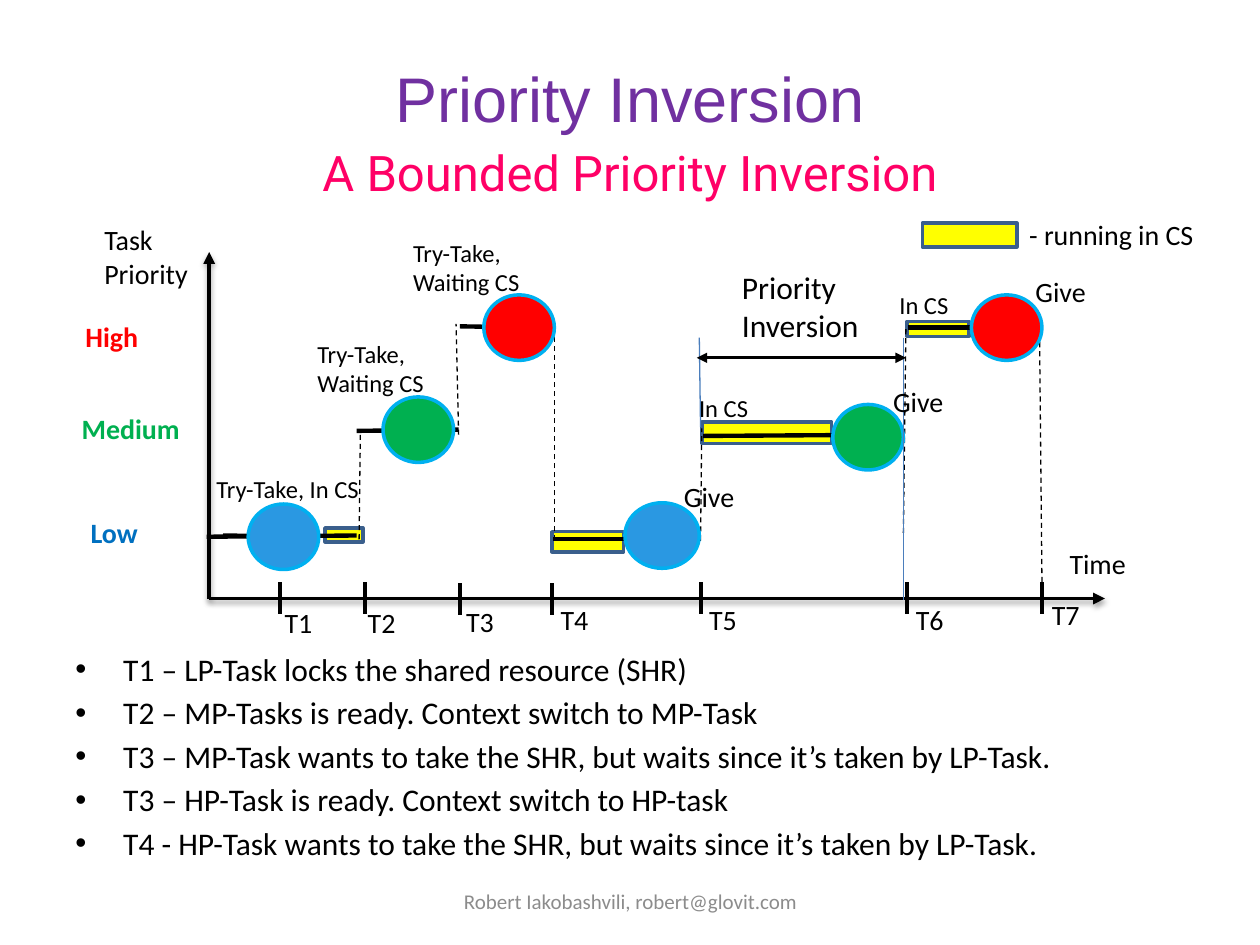
from dataclasses import dataclass
from typing import NamedTuple

from lxml.etree import SubElement
from pptx import Presentation
from pptx.dml.color import RGBColor
from pptx.enum.dml import MSO_LINE_DASH_STYLE as Dash
from pptx.enum.shapes import MSO_CONNECTOR_TYPE as Connector, MSO_SHAPE as Shape
from pptx.enum.text import MSO_ANCHOR as Anchor, PP_ALIGN as Align
from pptx.oxml.ns import qn
from pptx.util import Inches, Pt


@dataclass(frozen=True)
class Theme:
    body_font: str = "Calibri"
    title_font: str = "Arial"
    subtitle_font: str = "Roboto"
    title_size: float = 36
    subtitle_size: float = 28
    text_size: float = 18
    label_size: float = 16
    note_size: float = 14
    footer_size: float = 12
    black: str = "000000"
    purple: str = "7030A0"
    pink: str = "FF0066"
    grey: str = "8C8C8C"
    red: str = "FF0000"
    green: str = "00B050"
    low_text: str = "0070C0"
    low_fill: str = "2A98E2"
    task_edge: str = "00B0F0"
    section_fill: str = "FFFF00"
    section_edge: str = "3A5F8C"
    guide: str = "4B7EBC"


THEME = Theme()


class Box(NamedTuple):
    left: float
    top: float
    width: float
    height: float


class Stroke(NamedTuple):
    start: tuple[float, float]
    end: tuple[float, float]


class Tick(NamedTuple):
    name: str
    x: float
    top: float
    label_left: float
    label_top: float


class Label(NamedTuple):
    text: str
    box: Box
    size: float = THEME.label_size
    color: str = THEME.black
    bold: bool = False
    font: str = THEME.body_font
    align: Align = Align.LEFT
    anchor: Anchor = Anchor.TOP


TICKS = [
    Tick("T1", 2.22, 4.62, 2.16, 4.76), Tick("T2", 2.9, 4.62, 2.82, 4.76),
    Tick("T3", 3.65, 4.63, 3.6, 4.75), Tick("T4", 4.38, 4.63, 4.35, 4.73),
    Tick("T5", 5.56, 4.62, 5.53, 4.73), Tick("T6", 7.2, 4.62, 7.17, 4.73),
    Tick("T7", 8.27, 4.62, 8.25, 4.69),
]
CRITICAL_SECTIONS = [
    Box(7.2, 2.55, 0.49, 0.12), Box(5.57, 3.35, 1.03, 0.17),
    Box(4.38, 4.22, 0.57, 0.16), Box(2.58, 4.19, 0.3, 0.11),
]
AXES = [Stroke((1.66, 4.75), (8.77, 4.75)), Stroke((1.66, 4.75), (1.66, 2))]
RUNS = [
    Stroke((1.64, 4.26), (2.83, 4.25)), Stroke((1.77, 4.25), (2.53, 4.26)),
    Stroke((2.83, 3.42), (3.64, 3.41)), Stroke((3.65, 2.59), (4.24, 2.6)),
    Stroke((4.39, 4.28), (5.56, 4.28)), Stroke((5.58, 3.46), (7.17, 3.45)),
    Stroke((7.21, 2.6), (8.24, 2.6)),
]
SWITCHES = [
    Stroke((2.85, 4.28), (2.86, 3.44)), Stroke((3.64, 3.45), (3.62, 2.57)),
    Stroke((4.4, 4.29), (4.4, 2.57)), Stroke((5.56, 4.29), (5.57, 3.4)),
    Stroke((7.17, 4.23), (7.19, 2.6)), Stroke((8.27, 4.62), (8.25, 2.62)),
]
INVERSION_GUIDES = [Stroke((5.55, 2.68), (5.56, 3.39)), Stroke((7.17, 2.68), (7.17, 4.76))]
INVERSION_SPAN = Stroke((5.53, 2.84), (7.19, 2.84))
TASKS = [
    (Box(1.97, 4, 0.56, 0.52), THEME.low_fill), (Box(3.04, 3.15, 0.56, 0.52), THEME.green),
    (Box(3.84, 2.34, 0.56, 0.52), THEME.red), (Box(4.96, 3.99, 0.59, 0.52), THEME.low_fill),
    (Box(6.61, 3.21, 0.56, 0.52), THEME.green), (Box(7.71, 2.34, 0.56, 0.52), THEME.red),
]
LABELS = [
    Label("Priority Inversion", Box(0.5, 0.3, 9, 0.95), THEME.title_size, THEME.purple,
          font=THEME.title_font, align=Align.CENTER, anchor=Anchor.MIDDLE),
    Label("A Bounded Priority Inversion", Box(0.5, 1.08, 9, 0.6), THEME.subtitle_size,
          THEME.pink, font=THEME.subtitle_font, align=Align.CENTER),
    Label("Task Priority", Box(0.73, 1.72, 0.94, 0.64)),
    Label("Time", Box(8.39, 4.29, 0.77, 0.37)),
    Label("High", Box(0.58, 2.49, 0.92, 0.37), color=THEME.red, bold=True),
    Label("Medium", Box(0.55, 3.22, 1.04, 0.37), color=THEME.green, bold=True),
    Label("Low", Box(0.62, 4.04, 0.71, 0.37), color=THEME.low_text, bold=True),
    Label("Try-Take, In CS", Box(1.62, 3.71, 1.4, 0.34), THEME.note_size),
    Label("Try-Take,\nWaiting CS", Box(2.42, 2.64, 1.13, 0.57), THEME.note_size),
    Label("Try-Take,\nWaiting CS", Box(3.18, 1.84, 1.13, 0.57), THEME.note_size),
    Label("In CS", Box(5.45, 3.07, 0.64, 0.34), THEME.note_size),
    Label("In CS", Box(7.04, 2.25, 0.64, 0.34), THEME.note_size),
    Label("Give", Box(5.33, 3.76, 0.77, 0.37)),
    Label("Give", Box(6.99, 3, 0.77, 0.37)),
    Label("Give", Box(8.12, 2.13, 0.77, 0.37)),
    Label("Priority\nInversion", Box(5.79, 2.08, 1.36, 0.71), THEME.text_size),
    Label("Robert Iakobashvili, robert@glovit.com", Box(3.42, 6.95, 3.17, 0.4),
          THEME.footer_size, THEME.grey, align=Align.CENTER, anchor=Anchor.MIDDLE),
]
EVENTS = Label("\n".join([
    "T1 – LP-Task locks the shared resource (SHR)",
    "T2 – MP-Tasks is ready. Context switch to MP-Task",
    "T3 – MP-Task wants to take the SHR, but waits since it’s taken by LP-Task.",
    "T3 – HP-Task is ready. Context switch to HP-task",
    "T4 - HP-Task wants to take the SHR, but waits since it’s taken by LP-Task.",
]), Box(0.5, 5.11, 9, 1.84), THEME.text_size)


def draw_shape(shapes, kind: Shape, box: Box, fill: str, edge: str) -> None:
    shape = shapes.add_shape(kind, *map(Inches, box))
    shape.shadow.inherit = False
    shape.fill.solid()
    shape.fill.fore_color.rgb = RGBColor.from_string(fill)
    shape.line.color.rgb = RGBColor.from_string(edge)
    shape.line.width = Pt(2)


def draw_line(shapes, stroke: Stroke, width: float, color: str = THEME.black,
              dashed: bool = False, arrows: tuple[str, ...] = (), shadow: bool = False) -> None:
    """Draw a line; arrows names the ends ("headEnd", "tailEnd") that get a triangle."""
    connector = shapes.add_connector(Connector.STRAIGHT, *map(Inches, stroke.start + stroke.end))
    connector.line.color.rgb = RGBColor.from_string(color)
    connector.line.width = Pt(width)
    if dashed:
        connector.line.dash_style = Dash.DASH
    properties = connector._element.spPr
    for arrow in arrows:
        SubElement(properties.find(qn("a:ln")), qn(f"a:{arrow}"), type="triangle")
    effects = SubElement(properties, qn("a:effectLst"))
    if shadow:
        outer = SubElement(effects, qn("a:outerShdw"), blurRad=str(Pt(3.1)), dist=str(Pt(1.8)),
                           dir="5400000", rotWithShape="0")
        tint = SubElement(outer, qn("a:srgbClr"), val=THEME.black)
        SubElement(tint, qn("a:alpha"), val="35000")


def draw_label(shapes, label: Label, bulleted: bool = False) -> None:
    frame = shapes.add_textbox(*map(Inches, label.box)).text_frame
    frame.word_wrap = True
    frame.vertical_anchor = label.anchor
    frame.text = label.text
    for index, paragraph in enumerate(frame.paragraphs):
        paragraph.alignment = label.align
        if bulleted:
            properties = paragraph._p.get_or_add_pPr()
            properties.set("marL", str(Inches(0.38)))
            properties.set("indent", str(Inches(-0.38)))
            if index:
                paragraph.space_before = Pt(3.2)
            SubElement(properties, qn("a:buFont"), typeface=THEME.title_font)
            SubElement(properties, qn("a:buChar"), char="•")
        font = paragraph.font
        font.name, font.size, font.bold = label.font, Pt(label.size), label.bold
        font.color.rgb = RGBColor.from_string(label.color)


def draw_section(shapes, box: Box) -> None:
    draw_shape(shapes, Shape.RECTANGLE, box, THEME.section_fill, THEME.section_edge)


def main() -> None:
    presentation = Presentation()
    presentation.slide_width, presentation.slide_height = Inches(10), Inches(7.5)
    shapes = presentation.slides.add_slide(presentation.slide_layouts[6]).shapes

    for box in CRITICAL_SECTIONS:
        draw_section(shapes, box)
    for axis in AXES:
        draw_line(shapes, axis, 2.25, arrows=("tailEnd",), shadow=True)
    for tick in TICKS:
        draw_line(shapes, Stroke((tick.x, tick.top), (tick.x, tick.top + 0.25)), 2.25)
        draw_label(shapes, Label(tick.name, Box(tick.label_left, tick.label_top, 0.48, 0.37)))
    for run in RUNS:
        draw_line(shapes, run, 2.5)
    for switch in SWITCHES:
        draw_line(shapes, switch, 0.75, dashed=True)
    for box, fill in TASKS:
        draw_shape(shapes, Shape.OVAL, box, fill, THEME.task_edge)
    for guide in INVERSION_GUIDES:
        draw_line(shapes, guide, 0.75, THEME.guide)
    draw_line(shapes, INVERSION_SPAN, 1.5, arrows=("headEnd", "tailEnd"))
    for label in LABELS:
        draw_label(shapes, label)
    draw_label(shapes, EVENTS, bulleted=True)

    legend = shapes.add_group_shape().shapes
    draw_label(legend, Label("- running in CS", Box(8.07, 1.68, 1.6, 0.37)))
    draw_section(legend, Box(7.32, 1.77, 0.75, 0.19))

    presentation.save("out.pptx")


if __name__ == "__main__":
    main()
